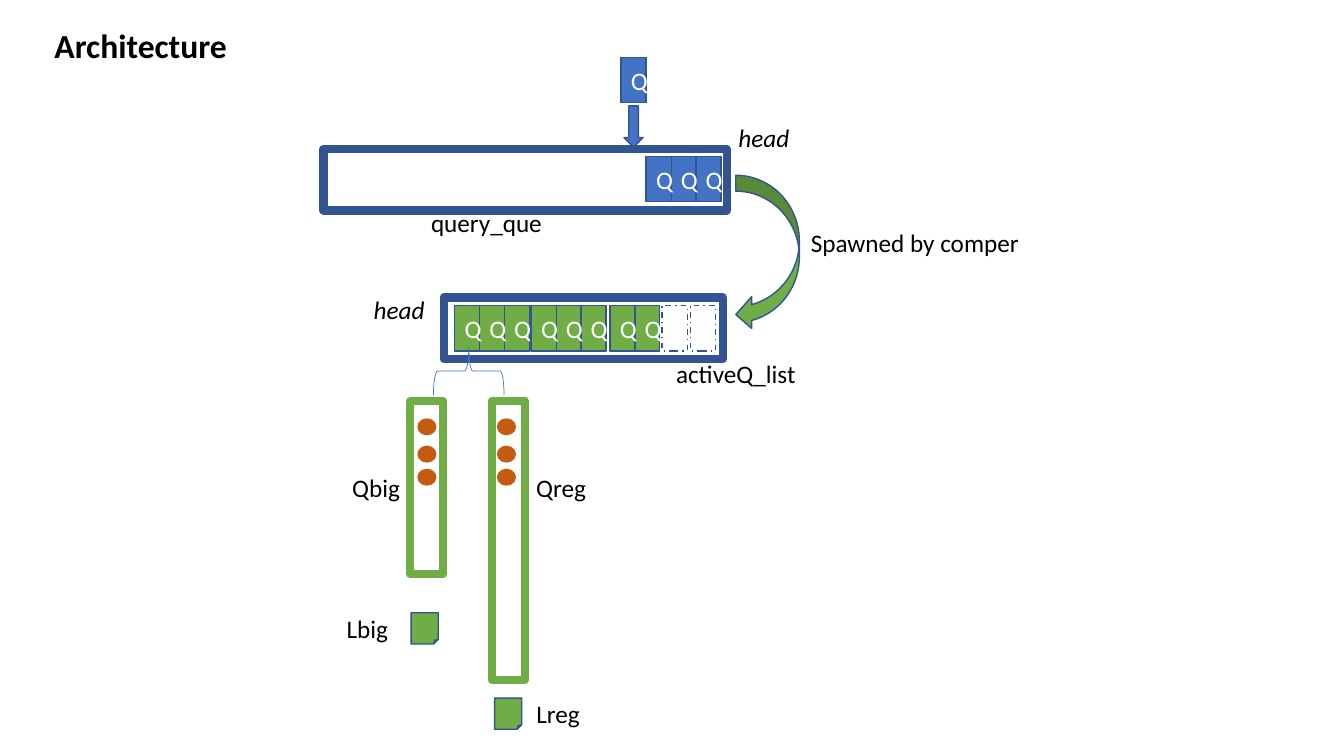
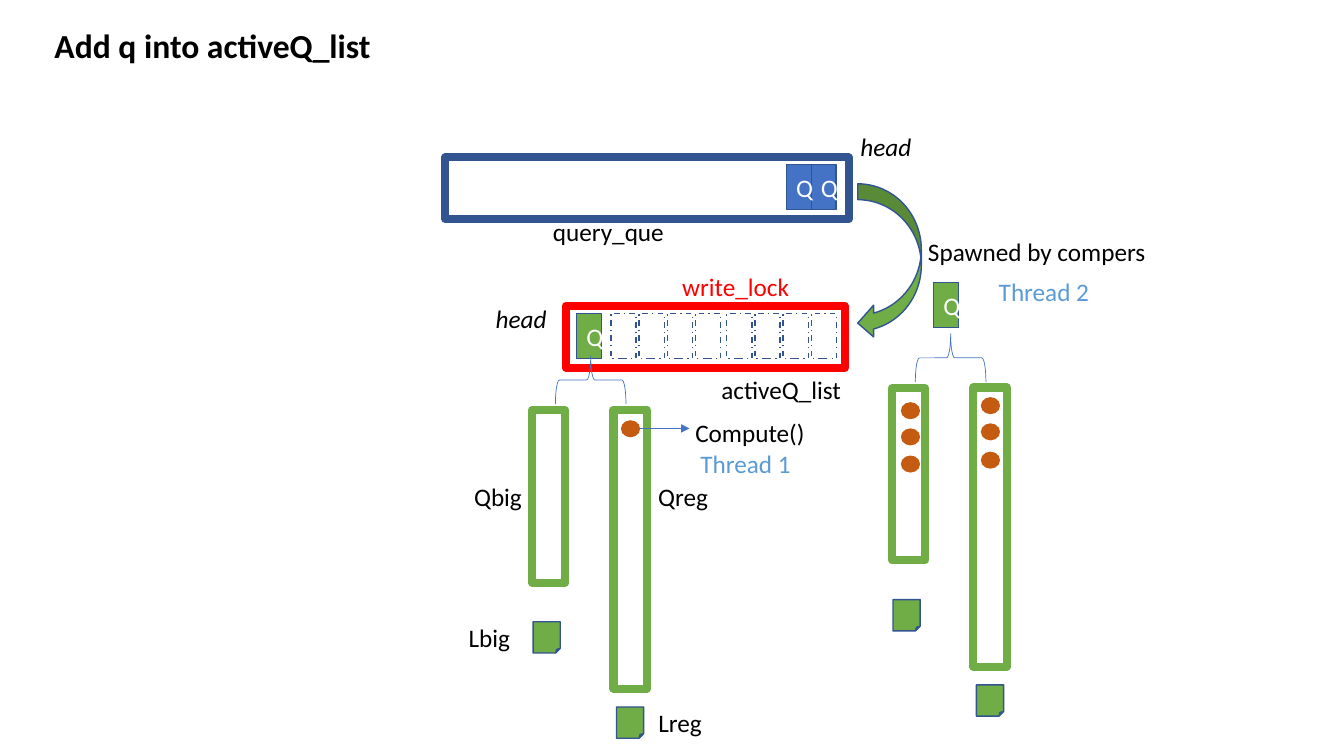
from lxml.etree import SubElement
from pptx import Presentation
from pptx.dml.color import RGBColor
from pptx.enum.dml import MSO_LINE
from pptx.enum.shapes import MSO_CONNECTOR, MSO_SHAPE
from pptx.enum.text import MSO_ANCHOR, MSO_AUTO_SIZE, PP_ALIGN
from pptx.oxml.ns import qn
from pptx.util import Pt

FONT = "Calibri"
BLUE, NAVY, SKY = "4472C4", "325491", "5B9BD5"
GREEN, ORANGE, RED = "70AD47", "C55A11", "FF0000"
BLACK, WHITE = "000000", "FFFFFF"
THICK = 5.75
CELL_W, CELL_H = 18, 32.4
LABEL_H = 28.8


def rgb(hex_code):
    """Turn a hex string into a colour."""
    return RGBColor.from_string(hex_code)


class Deck:
    """Shared style, the presentation and the slide being drawn."""

    def __init__(self):
        """Open a wide, empty presentation."""
        self.prs = Presentation()
        self.prs.slide_width, self.prs.slide_height = Pt(960), Pt(540)
        self.slide = None

    def add_text(self, frame, text, color, size=18, bold=False, italic=False,
                 align=PP_ALIGN.CENTER):
        """Add one styled run to the first paragraph of a text frame."""
        paragraph = frame.paragraphs[0]
        paragraph.alignment = align
        run = paragraph.add_run()
        run.text = text
        font = run.font
        font.name, font.size, font.bold, font.italic = FONT, Pt(size), bold, italic
        font.color.rgb = rgb(color)

    def start(self, title, width):
        """Begin a slide with its heading."""
        self.slide = self.prs.slides.add_slide(self.prs.slide_layouts[5])
        heading = self.slide.shapes.title
        heading.left, heading.top = Pt(31.7), Pt(14.4)
        heading.width, heading.height = Pt(width), Pt(36)
        frame = heading.text_frame
        frame.word_wrap = False
        frame.auto_size = MSO_AUTO_SIZE.SHAPE_TO_FIT_TEXT
        frame.vertical_anchor = MSO_ANCHOR.TOP
        self.add_text(frame, title, BLACK, 24, bold=True, align=PP_ALIGN.LEFT)

    def label(self, x, y, width, text, color=BLACK, italic=False,
              align=PP_ALIGN.CENTER):
        """Place a single-line caption."""
        box = self.slide.shapes.add_textbox(Pt(x), Pt(y), Pt(width), Pt(LABEL_H))
        box.text_frame.word_wrap = False
        box.text_frame.auto_size = MSO_AUTO_SIZE.SHAPE_TO_FIT_TEXT
        self.add_text(box.text_frame, text, color, italic=italic, align=align)

    def shape(self, kind, x, y, width, height, fill=None, line=None, weight=1,
              rotation=0):
        """Draw a preset shape, hollow or unlined unless coloured."""
        item = self.slide.shapes.add_shape(kind, Pt(x), Pt(y), Pt(width), Pt(height))
        item.shadow.inherit = False
        item.rotation = rotation
        if fill:
            item.fill.solid()
            item.fill.fore_color.rgb = rgb(fill)
        else:
            item.fill.background()
        if line:
            item.line.color.rgb = rgb(line)
            item.line.width = Pt(weight)
        else:
            item.line.fill.background()
        return item

    def query(self, x, y, fill):
        """Draw one query cell marked Q."""
        cell = self.shape(MSO_SHAPE.RECTANGLE, x, y, CELL_W, CELL_H, fill, NAVY)
        cell.text_frame.word_wrap = True
        cell.text_frame.vertical_anchor = MSO_ANCHOR.MIDDLE
        self.add_text(cell.text_frame, "Q", WHITE)

    def queries(self, x, y, count, fill):
        """Draw touching query cells, the leftmost on top."""
        for place in reversed(range(count)):
            self.query(x + 17.7 * place, y, fill)

    def free_slots(self, x, y, count):
        """Draw dashed empty slots."""
        for place in range(count):
            slot = self.shape(MSO_SHAPE.RECTANGLE, x + 20.2 * place, y,
                              CELL_W, CELL_H, line=NAVY)
            slot.line.dash_style = MSO_LINE.DASH_DOT

    def arrow(self, x1, y1, x2, y2):
        """Draw a thin line with an arrowhead at its end."""
        link = self.slide.shapes.add_connector(
            MSO_CONNECTOR.STRAIGHT, Pt(x1), Pt(y1), Pt(x2), Pt(y2))
        link.line.color.rgb = rgb(BLUE)
        link.line.width = Pt(0.5)
        properties = link.element.spPr
        SubElement(properties.find(qn("a:ln")), qn("a:tailEnd"), type="triangle")
        SubElement(properties, qn("a:effectLst"))

    def pipeline(self, dx, dy, active_color):
        """Draw the query queue, the active list and the spawn arrow."""
        for x, y, width, color in ((231.1, 106.4, 288, NAVY),
                                   (316.9, 212.5, 199.4, active_color)):
            self.shape(MSO_SHAPE.RECTANGLE, x + dx, y + dy, width, 44,
                       line=color, weight=THICK)
        self.shape(MSO_SHAPE.CURVED_LEFT_ARROW, 525.6 + dx, 125.2 + dy, 45.4, 110.9,
                   GREEN, NAVY)
        self.label(300 + dx, 144.8 + dy, 95, "query_que")
        self.label(519.8 + dx, 84.1 + dy, 51.8, "head", italic=True)
        self.label(259.2 + dx, 206.8 + dy, 51.8, "head", italic=True)

    def task_tree(self, x, y, dots=()):
        """Draw a query's brace, two task queues, dots by column and spill files."""
        self.shape(MSO_SHAPE.LEFT_BRACE, x, y, 34.6, 50.4, line=BLUE, weight=0.5,
                   rotation=90)
        for left, top, length in ((-74.2, 96.5, 123.1), (-54.2, 134.2, 199.4)):
            self.shape(MSO_SHAPE.RECTANGLE, x + left, y + top, length, 23.8,
                       line=GREEN, weight=THICK, rotation=90)
        for left, tops in dots:
            for top in tops:
                self.shape(MSO_SHAPE.OVAL, x + left, y + top, 13.7, 12.2, ORANGE)
        for left, top in ((-23.8, 197.9), (35.8, 258.8)):
            self.shape(MSO_SHAPE.FOLDED_CORNER, x + left, y + top, 19.4, 22.3,
                       GREEN, NAVY)

    def tree_labels(self, x, y):
        """Name the queues and files of a task tree."""
        for left, top, width, text, align in (
                (58.1, 94.3, 50.4, "Qreg", PP_ALIGN.CENTER),
                (-73.4, 94.3, 49, "Qbig", PP_ALIGN.CENTER),
                (-77, 195, 44.6, "Lbig", PP_ALIGN.LEFT),
                (58.1, 255.6, 46.1, "Lreg", PP_ALIGN.CENTER)):
            self.label(x + left, y + top, width, text, align=align)


def architecture(deck):
    """Show the full layout of queues."""
    deck.start("Architecture", 139)
    deck.pipeline(0, 0, NAVY)
    deck.query(443.5, 41, BLUE)
    deck.shape(MSO_SHAPE.DOWN_ARROW, 445.7, 75.6, 13.7, 29.5, BLUE, NAVY)
    deck.queries(461.5, 111.6, 3, BLUE)
    for x, count in ((324.7, 3), (379.4, 3), (435.6, 2)):
        deck.queries(x, 218.2, count, GREEN)
    deck.free_slots(473, 218.2, 2)
    deck.label(475.2, 252.7, 100.8, "activeQ_list")
    deck.label(571, 159.1, 164.9, "Spawned by comper")
    tops = (59, 78.5, 95)
    deck.task_tree(317.5, 239.8, ((-19.4, tops), (37.4, tops)))
    deck.tree_labels(317.5, 239.8)


def add_query(deck):
    """Show a query entering the locked active list."""
    deck.start("Add q into activeQ_list", 242.6)
    deck.pipeline(87.1, 6.1, RED)
    deck.queries(561.6, 117.4, 2, BLUE)
    deck.query(411.8, 223.9, GREEN)
    for x in (436.3, 476.6, 519.1, 559.4):
        deck.free_slots(x, 223.9, 2)
    deck.label(507.6, 263.5, 100.8, "activeQ_list")
    deck.label(480.2, 190.1, 91.4, "write_lock", RED, align=PP_ALIGN.LEFT)
    deck.label(654.5, 165.6, 172.1, "Spawned by compers")

    deck.task_tree(404.6, 246.2, ((38.9, (54,)),))
    deck.tree_labels(404.6, 246.2)
    deck.arrow(457.2, 306, 492.5, 306)
    deck.label(488.9, 294.5, 93.6, "Compute()")
    deck.label(493.2, 316.8, 79.9, "Thread 1", SKY, align=PP_ALIGN.LEFT)

    deck.query(666.7, 201.6, GREEN)
    deck.task_tree(661.7, 230.4, ((-18.2, (56.9, 75.6, 95)), (38.9, (53.3, 72, 92.2))))
    deck.label(706.3, 193.7, 79.9, "Thread 2", SKY, align=PP_ALIGN.LEFT)


deck = Deck()
architecture(deck)
add_query(deck)
deck.prs.save("out.pptx")
